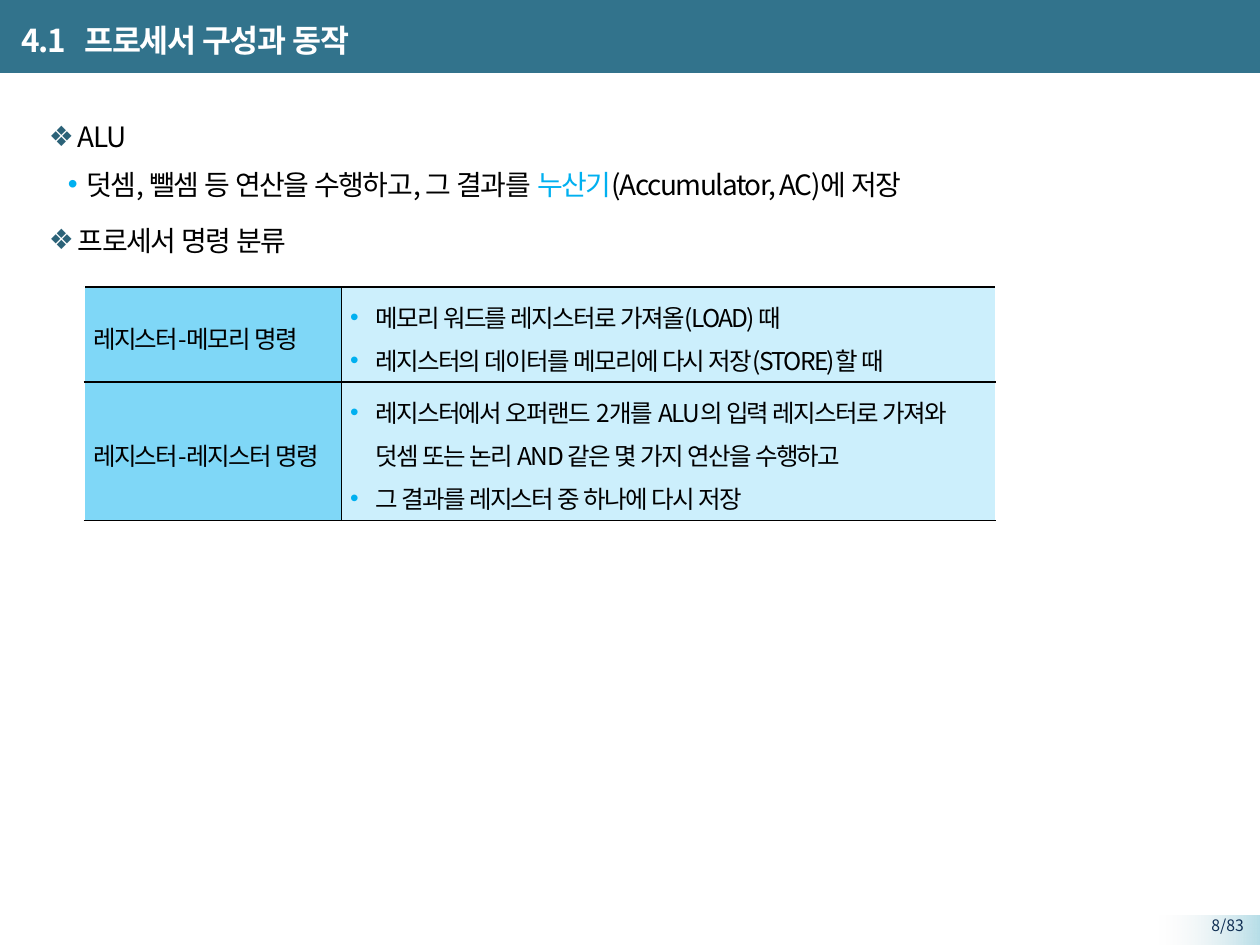
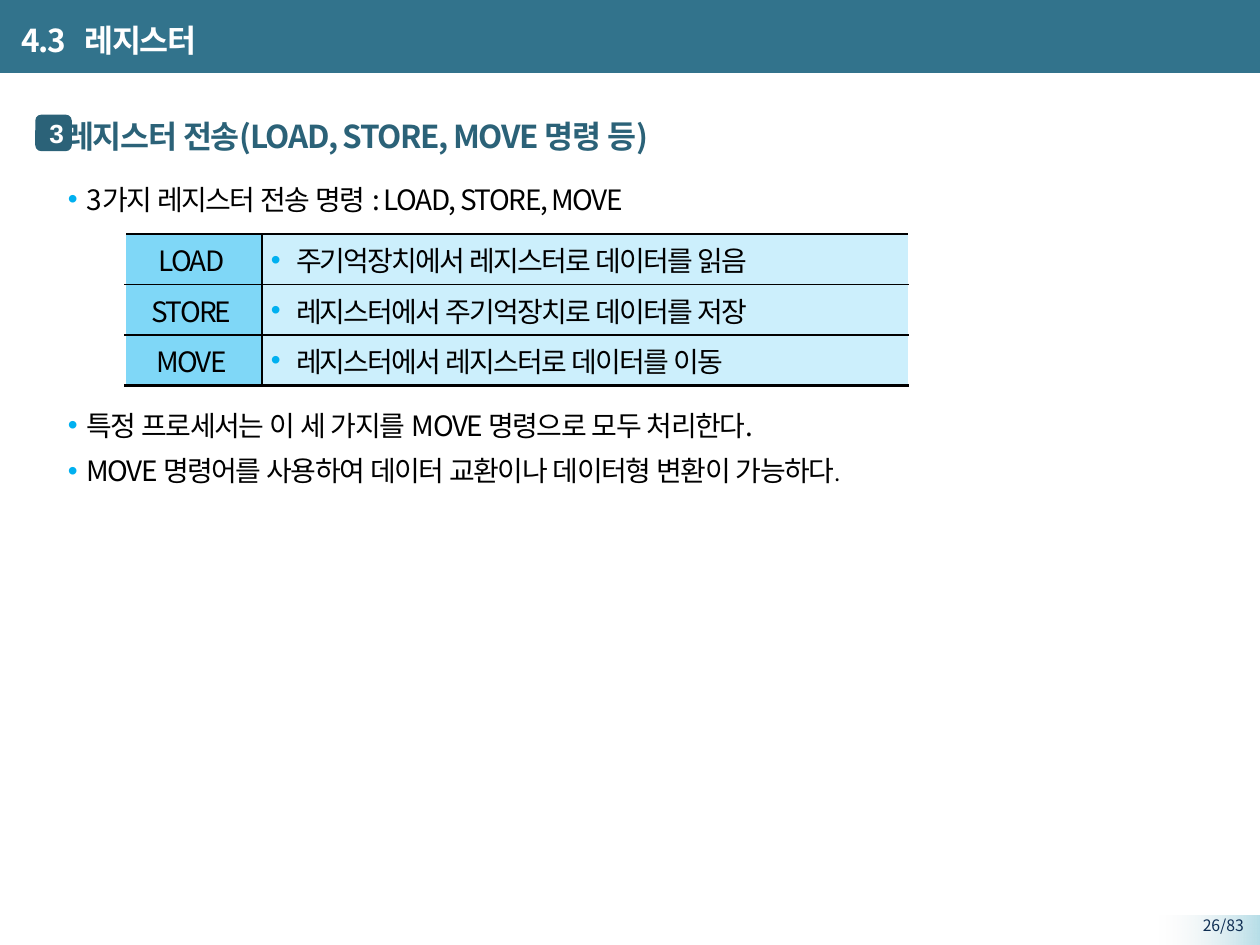
from lxml.etree import SubElement
from pptx import Presentation
from pptx.dml.color import RGBColor
from pptx.enum.lang import MSO_LANGUAGE_ID
from pptx.enum.shapes import MSO_SHAPE
from pptx.enum.text import MSO_ANCHOR, PP_ALIGN
from pptx.oxml.ns import qn
from pptx.util import Inches, Pt

COLORS = {
    "band": "32738C",
    "corner": "B7DEE8",
    "corner_fade": "F2F2F2",
    "page": "0F2E53",
    "deep": "2B6278",
    "accent": "00B0F0",
    "black": "000000",
    "white": "FFFFFF",
}
FONT = "Noto Sans CJK KR"
LABEL_FONT = "Arial"
TOTAL_PAGES = 83

TOPIC = dict(size=16, bullet="❖", bullet_color="deep", margin=0.45, indent=-0.23, line=1.2)
POINT = dict(size=16, bullet="•", margin=0.52, indent=-0.15, line=1.2, before=3)

PAGES = [
    {
        "number": 8,
        "title": "4.1\t프로세서 구성과 동작",
        "body": [
            (["ALU"], TOPIC),
            (
                [
                    "덧셈, 뺄셈 등 연산을 수행하고, 그 결과를 ",
                    ("누산기", "accent", 16),
                    "(Accumulator, AC)에 저장",
                ],
                POINT | {"before": 4},
            ),
            (["프로세서 명령 분류"], TOPIC | {"before": 9}),
        ],
        "badge": None,
        "table": {
            "at": (0.67, 2.28),
            "columns": (2.04, 5.19),
            "heights": (0.75, 1.1),
            "size": 14,
            "line": 1.2,
            "align": PP_ALIGN.LEFT,
            "anchor": MSO_ANCHOR.MIDDLE,
            "bottom_width": 1,
            "rows": [
                (
                    "레지스터-메모리 명령",
                    [
                        "메모리 워드를 레지스터로 가져올(LOAD) 때",
                        "레지스터의 데이터를 메모리에 다시 저장(STORE)할 때",
                    ],
                ),
                (
                    "레지스터-레지스터 명령",
                    [
                        "레지스터에서 오퍼랜드 2개를 ALU의 입력 레지스터로 가져와 "
                        "덧셈 또는 논리 AND 같은 몇 가지 연산을 수행하고",
                        "그 결과를 레지스터 중 하나에 다시 저장",
                    ],
                ),
            ],
        },
    },
    {
        "number": 26,
        "title": "4.3\t레지스터",
        "body": [
            (
                ["레지스터 전송(LOAD, STORE, MOVE 명령 등)"],
                dict(size=18, color="deep", bold=True, margin=0.35, line=1.1, after=9),
            ),
            (["3가지 레지스터 전송 명령 : LOAD, STORE, MOVE"], POINT),
            (
                ["특정 프로세서는 이 세 가지를 MOVE 명령으로 모두 처리한다."],
                POINT | {"before": 106},
            ),
            (
                [
                    "MOVE 명령어를 사용하여 데이터 교환이나 데이터형 변환이 가능하다",
                    (".", "black", 12.8),
                ],
                POINT,
            ),
        ],
        "badge": "3",
        "table": {
            "at": (0.99, 1.86),
            "columns": (1.09, 5.13),
            "heights": (0.4, 0.4, 0.4),
            "size": 16,
            "line": 1.0,
            "align": PP_ALIGN.CENTER,
            "anchor": MSO_ANCHOR.TOP,
            "bottom_width": 1.5,
            "rows": [
                ("LOAD", ["주기억장치에서 레지스터로 데이터를 읽음"]),
                ("STORE", ["레지스터에서 주기억장치로 데이터를 저장"]),
                ("MOVE", ["레지스터에서 레지스터로 데이터를 이동"]),
            ],
        },
    },
]


def write(frame, runs, size, color="black", bold=False, spacing=-0.8, bullet=None,
          bullet_color="accent", margin=0, indent=0, line=1.0, before=0, after=0,
          align=PP_ALIGN.LEFT, tab=None, font=FONT):
    paragraph = frame.paragraphs[0]
    if paragraph.runs:
        paragraph = frame.add_paragraph()
    for part in runs:
        run = paragraph.add_run()
        run.font.language_id = MSO_LANGUAGE_ID.KOREAN
        if isinstance(part, str):
            run.text = part
        else:
            run.text, run_color, run_size = part
            run.font.color.rgb = RGBColor.from_string(COLORS[run_color])
            run.font.size = Pt(run_size)
    paragraph.alignment = align
    paragraph.line_spacing = line
    paragraph.space_before = Pt(before)
    paragraph.space_after = Pt(after)
    properties = paragraph._p.get_or_add_pPr()
    properties.set("marL", str(Inches(margin)))
    properties.set("indent", str(Inches(indent)))
    if bullet:
        bullet_fill = SubElement(properties, qn("a:buClr"))
        SubElement(bullet_fill, qn("a:srgbClr"), val=COLORS[bullet_color])
        SubElement(properties, qn("a:buFont"), typeface=LABEL_FONT)
        SubElement(properties, qn("a:buChar"), char=bullet)
    else:
        SubElement(properties, qn("a:buNone"))
    if tab:
        stops = SubElement(properties, qn("a:tabLst"))
        SubElement(stops, qn("a:tab"), pos=str(Inches(tab)), algn="l")
    paragraph.font.size = Pt(size)
    paragraph.font.bold = bold
    paragraph.font.color.rgb = RGBColor.from_string(COLORS[color])
    paragraph.font.name = font
    defaults = properties.find(qn("a:defRPr"))
    defaults.set("spc", str(round(spacing * 100)))
    SubElement(defaults, qn("a:ea"), typeface=font)


def style_cell(cell, opacity, borders):
    cell.margin_left = cell.margin_right = Inches(0.07)
    cell.margin_top = cell.margin_bottom = Inches(0.04)
    properties = cell._tc.get_or_add_tcPr()
    for side, (color, width) in borders.items():
        edge = SubElement(properties, qn(f"a:ln{side}"), w=str(Pt(width)))
        edge_fill = SubElement(edge, qn("a:solidFill"))
        SubElement(edge_fill, qn("a:srgbClr"), val=COLORS[color])
    cell.fill.solid()
    cell.fill.fore_color.rgb = RGBColor.from_string(COLORS["accent"])
    tint = properties.find(qn("a:solidFill")).find(qn("a:srgbClr"))
    SubElement(tint, qn("a:alpha"), val=str(opacity * 1000))


deck = Presentation()
deck.slide_width = Inches(10)
deck.slide_height = Inches(7.5)

for page in PAGES:
    slide = deck.slides.add_slide(deck.slide_layouts[5])
    shapes = slide.shapes

    title = shapes.title
    title.left, title.top = Inches(0.07), Inches(0.06)
    title.width, title.height = Inches(8.51), Inches(0.52)
    title.text_frame.word_wrap = True
    title.text_frame.vertical_anchor = MSO_ANCHOR.MIDDLE
    write(title.text_frame, [page["title"]], 18, "white", bold=True, tab=0.52)

    band = shapes.add_shape(MSO_SHAPE.RECTANGLE, 0, Inches(-0.02), Inches(10), Inches(0.6))
    band.fill.solid()
    band.fill.fore_color.rgb = RGBColor.from_string(COLORS["band"])

    corner = shapes.add_shape(
        MSO_SHAPE.RECTANGLE, Inches(9.2), Inches(7.27), Inches(0.8), Inches(0.24))
    corner.fill.gradient()
    corner.fill.gradient_angle = 180
    for stop, color in zip(corner.fill.gradient_stops, ("corner", "corner_fade")):
        stop.color.rgb = RGBColor.from_string(COLORS[color])
    fade = list(corner.element.iter(qn("a:srgbClr")))[-1]
    SubElement(fade, qn("a:alpha"), val="0")

    for backdrop in (band, corner):
        backdrop.line.fill.background()
        backdrop.shadow.inherit = False
        title.element.addprevious(backdrop.element)

    page_number = shapes.add_textbox(Inches(9.05), Inches(7.22), Inches(0.92), Inches(0.23))
    page_number.text_frame.word_wrap = True
    write(page_number.text_frame, [f"{page['number']}/{TOTAL_PAGES}"], 9, "page",
          spacing=0, align=PP_ALIGN.RIGHT)

    body = shapes.add_textbox(Inches(0.07), Inches(0.85), Inches(9.8), Inches(6.2))
    body.text_frame.word_wrap = True
    for runs, style in page["body"]:
        write(body.text_frame, runs, **style)

    if page["badge"]:
        badge = shapes.add_shape(MSO_SHAPE.ROUNDED_RECTANGLE, Inches(0.28), Inches(0.91),
                                 Inches(0.29), Inches(0.29))
        badge.fill.solid()
        badge.fill.fore_color.rgb = RGBColor.from_string(COLORS["deep"])
        badge.line.fill.background()
        badge.shadow.inherit = False
        label = badge.text_frame
        label.margin_left = Inches(0.05)
        label.margin_right = label.margin_top = label.margin_bottom = 0
        label.vertical_anchor = MSO_ANCHOR.MIDDLE
        write(label, [page["badge"]], 15, "white", bold=True, spacing=0,
              align=PP_ALIGN.CENTER, font=LABEL_FONT)

    layout = page["table"]
    rows, columns, heights = layout["rows"], layout["columns"], layout["heights"]
    left, top = layout["at"]
    commands = shapes.add_table(len(rows), 2, Inches(left), Inches(top),
                                Inches(sum(columns)), Inches(sum(heights))).table
    commands.first_row = commands.horz_banding = False
    for column, width in zip(commands.columns, columns):
        column.width = Inches(width)
    for index, (command, uses) in enumerate(rows):
        commands.rows[index].height = Inches(heights[index])
        top_edge = ("black", 1.5 if index == 0 else 1)
        bottom_edge = ("black", layout["bottom_width"] if index == len(rows) - 1 else 1)
        outer, inner = ("white", 1), ("black", 1)
        text_style = dict(size=layout["size"], line=layout["line"], spacing=-1)

        command_cell, use_cell = commands.cell(index, 0), commands.cell(index, 1)
        style_cell(command_cell, 50, {"L": outer, "R": inner, "T": top_edge, "B": bottom_edge})
        style_cell(use_cell, 20, {"L": inner, "R": outer, "T": top_edge, "B": bottom_edge})
        command_cell.margin_right = Inches(0.1)
        command_cell.vertical_anchor = MSO_ANCHOR.MIDDLE
        use_cell.vertical_anchor = layout["anchor"]
        write(command_cell.text_frame, [command], align=layout["align"], **text_style)
        for use in uses:
            write(use_cell.text_frame, [use], bullet="•", margin=0.2, indent=-0.2, **text_style)

deck.save("out.pptx")
